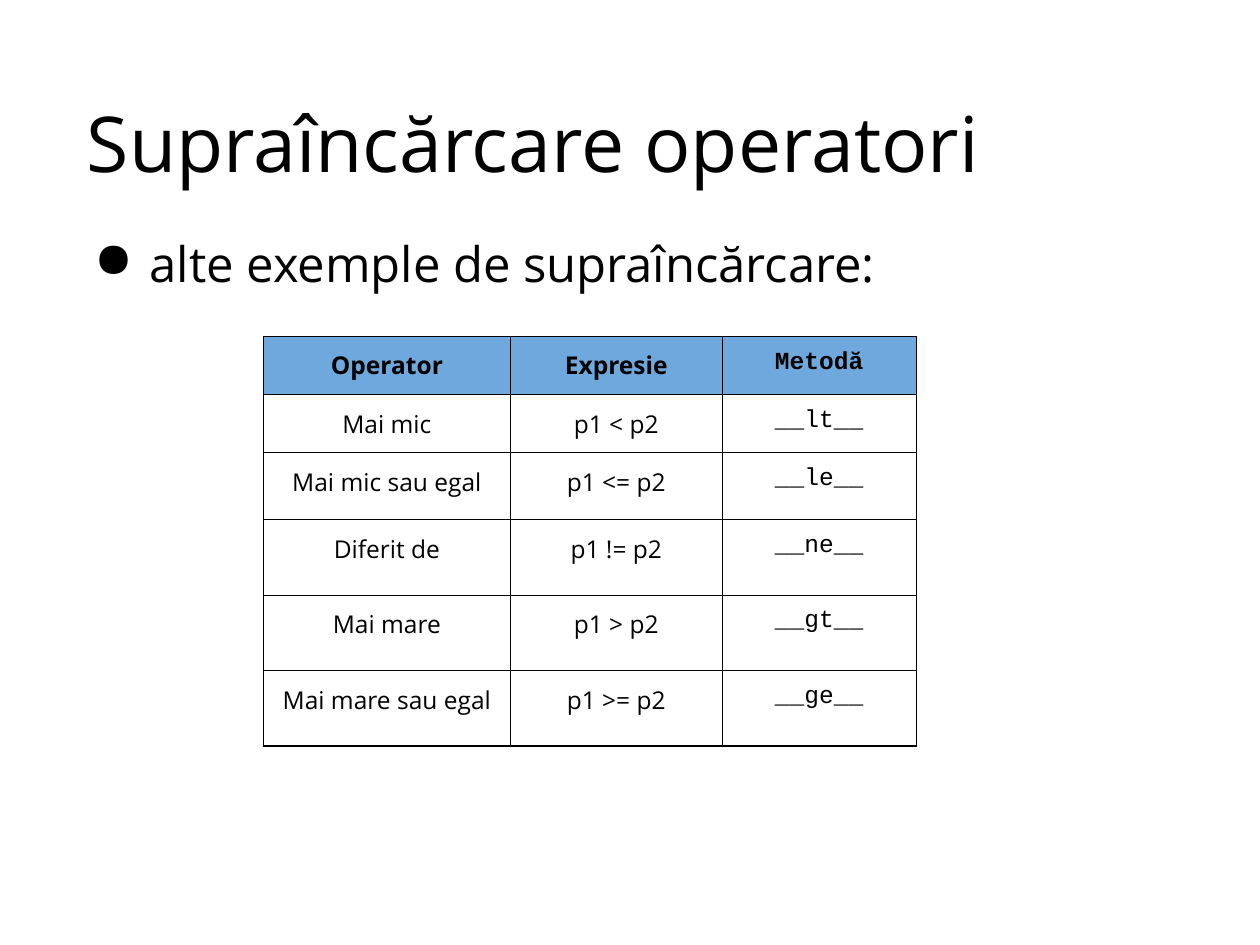
from lxml import etree
from pptx import Presentation
from pptx.dml.color import RGBColor
from pptx.enum import text as t
from pptx.oxml import ns
from pptx.util import Cm, Pt

TITLE = "Supraîncărcare operatori"
POINT = "alte exemple de supraîncărcare:"
ROWS = [
    ("Operator", "Expresie", "Metodă"),
    ("Mai mic", "p1 < p2", "__lt__"),
    ("Mai mic sau egal", "p1 <= p2", "__le__"),
    ("Diferit de", "p1 != p2", "__ne__"),
    ("Mai mare", "p1 > p2", "__gt__"),
    ("Mai mare sau egal", "p1 >= p2", "__ge__"),
]
WIDTHS = [4.98, 4.27, 3.91]
HEIGHTS = [0.89, 1.14, 1.35, 1.52, 1.52, 1.52]
FONTS = ["Open Sans", "Open Sans", "Courier New"]
BLACK, BLUE = "000000", "6FA8DC"
SIDES = ("left", "right", "top", "bottom")


def color(code):
    return RGBColor.from_string(code)


def style(par, size, name="Open Sans", bold=False, align=t.PP_ALIGN.LEFT):
    par.alignment = align
    for key, val in {"size": Pt(size), "name": name, "bold": bold}.items():
        setattr(par.font, key, val)
    par.font.color.rgb = color(BLACK)


def add(parent, tag, **attrs):
    return etree.SubElement(parent, ns.qn(tag), attrs)


def place(shape, left, top, width, height):
    for key, val in zip(("left", "top", "width", "height"),
                        (left, top, width, height)):
        setattr(shape, key, Cm(val))


def inset(obj, gap):
    for side in SIDES:
        setattr(obj, "margin_" + side, Cm(gap))


def border(cell):
    """Draw a thin black line on all four sides; call before the fill is set."""
    props = cell._tc.get_or_add_tcPr()
    for tag in ("a:lnL", "a:lnR", "a:lnT", "a:lnB"):
        line = add(props, tag, w=str(Pt(0.75)))
        add(add(line, "a:solidFill"), "a:srgbClr", val=BLACK)


def frame(shape, words, anchor):
    box = shape.text_frame
    box.word_wrap = True
    box.auto_size = t.MSO_AUTO_SIZE.NONE
    box.vertical_anchor = anchor
    inset(box, 0)
    box.text = words
    return box.paragraphs[0]


deck = Presentation()
deck.slide_width, deck.slide_height = Cm(25.4), Cm(19.05)
slide = deck.slides.add_slide(deck.slide_layouts[5])

title = slide.shapes.title
place(title, 1.75, 1.02, 21.9, 3.68)
style(frame(title, TITLE, t.MSO_ANCHOR.MIDDLE), 44)

body = slide.shapes.add_textbox(0, 0, 0, 0)
place(body, 1.75, 4.7, 22.53, 12.88)
point = frame(body, POINT, t.MSO_ANCHOR.TOP)
props = point._p.get_or_add_pPr()
props.set("marL", str(Cm(1.27)))
props.set("indent", str(Cm(-1.12)))
add(add(props, "a:buClr"), "a:srgbClr", val=BLACK)
add(props, "a:buChar", char="●")
style(point, 28)

table = slide.shapes.add_table(
    len(ROWS), len(WIDTHS), Cm(5.31), Cm(6.78),
    Cm(sum(WIDTHS)), Cm(sum(HEIGHTS))).table
table.first_row = table.horz_banding = False
for col, width in zip(table.columns, WIDTHS):
    col.width = Cm(width)
for r, (row, height) in enumerate(zip(ROWS, HEIGHTS)):
    table.rows[r].height = Cm(height)
    for c, words in enumerate(row):
        cell = table.cell(r, c)
        cell.text = words
        inset(cell, 0.25)
        border(cell)
        if r == 0:
            cell.fill.solid()
            cell.fill.fore_color.rgb = color(BLUE)
        else:
            cell.fill.background()
        style(cell.text_frame.paragraphs[0], 14, FONTS[c], r == 0,
              t.PP_ALIGN.CENTER)

deck.save("out.pptx")
